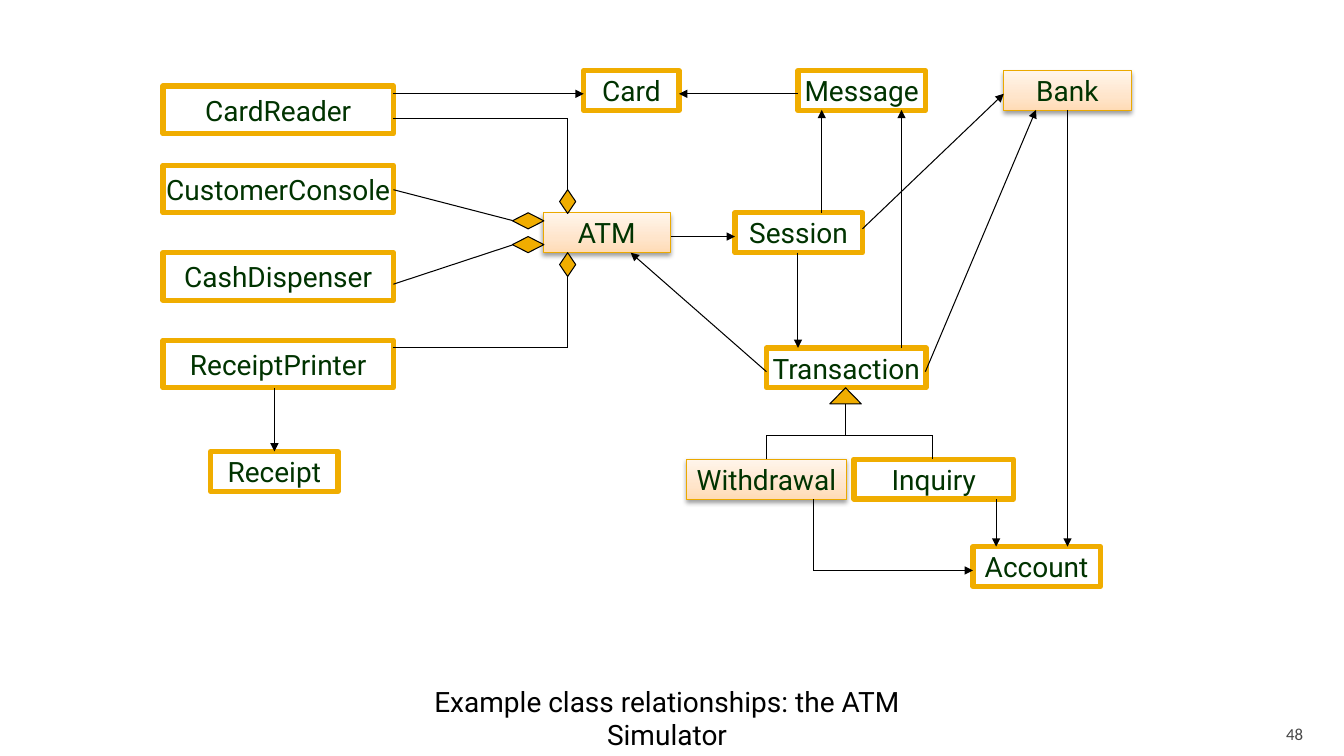
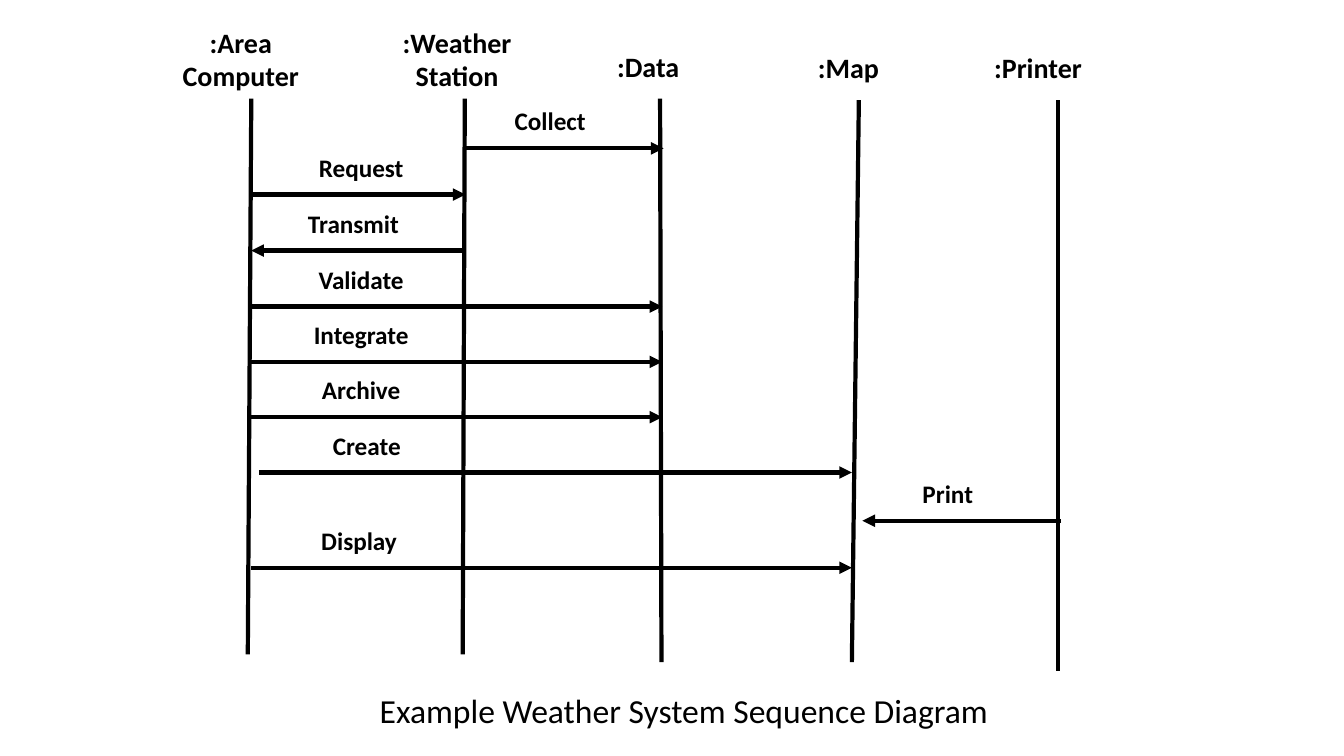
import dataclasses

import pptx
import pptx.dml.color
import pptx.enum.shapes
import pptx.enum.text
import pptx.oxml
import pptx.oxml.ns
import pptx.util

Pt = pptx.util.Pt
RGB = pptx.dml.color.RGBColor.from_string
Shape = pptx.enum.shapes.MSO_SHAPE
Anchor = pptx.enum.text.MSO_ANCHOR
Align = pptx.enum.text.PP_ALIGN
qn = pptx.oxml.ns.qn
namespace = pptx.oxml.ns.nsdecls("a")


@dataclasses.dataclass(frozen=True)
class Theme:
    black: str = "000000"
    white: str = "FFFFFF"
    gold: str = "F0AD00"
    soft_gold: str = "EBA900"
    green: str = "003300"
    grey: str = "454545"
    peach: tuple = ((0, "FFDBB5"), (35, "FFE5CB"), (100, "FFF5EB"))
    class_font: str = "Roboto"
    sequence_font: str = "Calibri"
    caption_size: int = 24
    label_size: int = 20
    message_size: int = 18
    number_size: int = 12
    border: float = 3.78
    soft_border: float = 0.5
    thin: float = 0.75
    thick: float = 3


theme = Theme()


def write(box, text, font, size, color=theme.black, bold=False,
          align=Align.CENTER, anchor=Anchor.TOP, wrap=False):
    frame = box.text_frame
    frame.text = text
    frame.word_wrap = wrap
    frame.auto_size = pptx.enum.text.MSO_AUTO_SIZE.NONE
    frame.vertical_anchor = anchor
    for para in frame.paragraphs:
        para.alignment = align
        for span in para.runs:
            span.font.name = font
            span.font.size = Pt(size)
            span.font.bold = bold
            span.font.color.rgb = RGB(color)


def connect(page, points, width, arrow=False):
    """Draw straight segments through the points, with an arrowhead at the last."""
    for start, end in zip(points, points[1:]):
        line = page.shapes.add_connector(
            pptx.enum.shapes.MSO_CONNECTOR.STRAIGHT, *map(Pt, start + end))
        line.line.color.rgb = RGB(theme.black)
        line.line.width = Pt(width)
        properties = line._element.spPr
        properties.append(pptx.oxml.parse_xml(f"<a:effectLst {namespace}/>"))
        if arrow and end == points[-1]:
            properties.find(qn("a:ln")).append(
                pptx.oxml.parse_xml(f'<a:tailEnd {namespace} type="triangle"/>'))


deck = pptx.Presentation()
deck.slide_width, deck.slide_height = Pt(960), Pt(540)

# Both slides carry their title as a caption at the bottom
pages = []
for caption, font, size, left, top, width, height in (
    ("Example class relationships: the ATM Simulator",
     theme.class_font, theme.label_size, 264, 485, 425, 55),
    ("Example Weather System Sequence Diagram",
     theme.sequence_font, theme.caption_size, 256, 489, 465, 36),
):
    page = deck.slides.add_slide(deck.slide_layouts[5])
    title = page.shapes.title
    title.left, title.top, title.width, title.height = map(Pt, (left, top, width, height))
    write(title, caption, font, size, wrap=True)
    pages.append(page)
class_page, sequence_page = pages

# Slide number
number = class_page.shapes.add_textbox(Pt(861), Pt(510), Pt(77), Pt(21.5))
number.text_frame.margin_bottom = 0
write(number, "48", theme.sequence_font, theme.number_size, theme.grey,
      align=Align.RIGHT, anchor=Anchor.BOTTOM)

# Class boxes: name, left, top, size, highlighted
device, normal, wide = (164.5, 34), (91, 28.5), (114, 28.5)
for name, left, top, (width, height), highlighted in (
    ("CardReader", 116.5, 61.5, device, False),
    ("CustomerConsole", 116.5, 118, device, False),
    ("CashDispenser", 116.5, 180.5, device, False),
    ("ReceiptPrinter", 116.5, 243, device, False),
    ("Receipt", 150.5, 322.5, normal, False),
    ("Card", 417, 50.5, (68, 28.5), False),
    ("Message", 570, 50.5, normal, False),
    ("Bank", 717, 50.5, normal, True),
    ("ATM", 388, 152, normal, True),
    ("Session", 525, 152, normal, False),
    ("Transaction", 547.5, 248.5, wide, False),
    ("Withdrawal", 490.5, 328, wide, True),
    ("Inquiry", 610, 328, wide, False),
    ("Account", 695, 390.5, normal, False),
):
    box = class_page.shapes.add_shape(
        Shape.RECTANGLE, Pt(left), Pt(top), Pt(width), Pt(height))
    box.shadow.inherit = False
    box.fill.solid()
    box.fill.fore_color.rgb = RGB(theme.white)
    box.line.color.rgb = RGB(theme.soft_gold if highlighted else theme.gold)
    box.line.width = Pt(theme.soft_border if highlighted else theme.border)
    if highlighted:
        stops = "".join(
            f'<a:gs pos="{place * 1000}"><a:srgbClr val="{color}"/></a:gs>'
            for place, color in theme.peach)
        properties = box._element.spPr
        properties.replace(properties.find(qn("a:solidFill")), pptx.oxml.parse_xml(
            f'<a:gradFill {namespace} rotWithShape="1"><a:gsLst>{stops}</a:gsLst>'
            '<a:lin ang="16200000" scaled="0"/></a:gradFill>'))
        properties.find(qn("a:effectLst")).append(pptx.oxml.parse_xml(
            f'<a:outerShdw {namespace} blurRad="{int(Pt(3.5))}" dist="{int(Pt(2))}" '
            f'dir="5400000" rotWithShape="0"><a:srgbClr val="{theme.black}">'
            '<a:alpha val="38000"/></a:srgbClr></a:outerShdw>'))
    write(box, name, theme.class_font, theme.label_size, theme.green, anchor=Anchor.MIDDLE)

# Plain lines: parts of the ATM, then kinds of transaction
for points in (
    ((281, 135.5), (366, 157.5)),
    ((281, 203), (366, 175)),
    ((281, 84.5), (405.5, 84.5), (405.5, 135.5)),
    ((281, 248.5), (405.5, 248.5), (405.5, 197.5)),
    ((604, 288), (604, 311)),
    ((547.5, 328), (547.5, 311), (666, 311), (666, 328)),
):
    connect(class_page, points, theme.thin)

# Diamonds and inheritance triangle
for shape, left, top, width, height in (
    (Shape.FLOWCHART_DECISION, 366, 152, 22.5, 11.5),
    (Shape.FLOWCHART_DECISION, 366, 169, 22.5, 11.5),
    (Shape.FLOWCHART_DECISION, 399.75, 135.5, 11.5, 17),
    (Shape.FLOWCHART_DECISION, 399.75, 180.5, 11.5, 17),
    (Shape.ISOSCELES_TRIANGLE, 592.75, 277, 22.5, 11.5),
):
    symbol = class_page.shapes.add_shape(shape, Pt(left), Pt(top), Pt(width), Pt(height))
    symbol.shadow.inherit = False
    symbol.fill.solid()
    symbol.fill.fore_color.rgb = RGB(theme.gold)
    symbol.line.color.rgb = RGB(theme.black)
    symbol.line.width = Pt(theme.thin)

# Associations, each pointing at the class it uses
for points in (
    ((281, 67), (417, 67)),
    ((570, 67), (485, 67)),
    ((196, 277), (196, 322.5)),
    ((479.5, 169), (525, 169)),
    ((570, 180.5), (570, 248.5)),
    ((547.5, 265.5), (450.5, 180.5)),
    ((587, 152), (587, 78.5)),
    ((644, 248.5), (644, 78.5)),
    ((616, 163.5), (717, 67)),
    ((661, 265.5), (740, 78.5)),
    ((762.5, 78.5), (762.5, 390.5)),
    ((711.5, 356.5), (711.5, 390.5)),
    ((581, 356.5), (581, 407.5), (695, 407.5)),
):
    connect(class_page, points, theme.thin, arrow=True)

# Lifelines: name, label centre and top, line start, line end
for name, center, top, start, end in (
    (":Area\nComputer", 172, 14.5, (179.5, 70.5), (177, 467.5)),
    (":Weather\nStation", 326.5, 14.5, (332, 70.5), (330.5, 467.5)),
    (":Data", 463, 32, (471.5, 70.5), (472.5, 473)),
    (":Map", 606, 32.5, (613.5, 71.5), (608.5, 473)),
    (":Printer", 741.5, 32.5, (756, 71.5), (756, 479)),
):
    label = sequence_page.shapes.add_textbox(Pt(center - 52), Pt(top), Pt(104), Pt(70 - top))
    write(label, name, theme.sequence_font, theme.label_size, bold=True)
    connect(sequence_page, (start, end), theme.thick)

# Messages: name, label centre, height on the page, sender, receiver
for name, center, top, sender, receiver in (
    ("Collect", 393, 106, 332.5, 474),
    ("Request", 258, 139, 179.5, 332.5),
    ("Transmit", 252.5, 179, 331, 179.5),
    ("Validate", 258, 219, 179.5, 473),
    ("Integrate", 258, 258.5, 179.5, 473),
    ("Archive", 258, 298, 179.5, 473),
    ("Create", 262, 337.5, 185, 608.5),
    ("Print", 677, 372, 758, 616),
    ("Display", 256.5, 405.5, 179.5, 608.5),
):
    label = sequence_page.shapes.add_textbox(Pt(center - 61), Pt(top - 34), Pt(122), Pt(29))
    write(label, name, theme.sequence_font, theme.message_size, bold=True, wrap=True)
    connect(sequence_page, ((sender, top), (receiver, top)), theme.thick, arrow=True)

deck.save("out.pptx")
